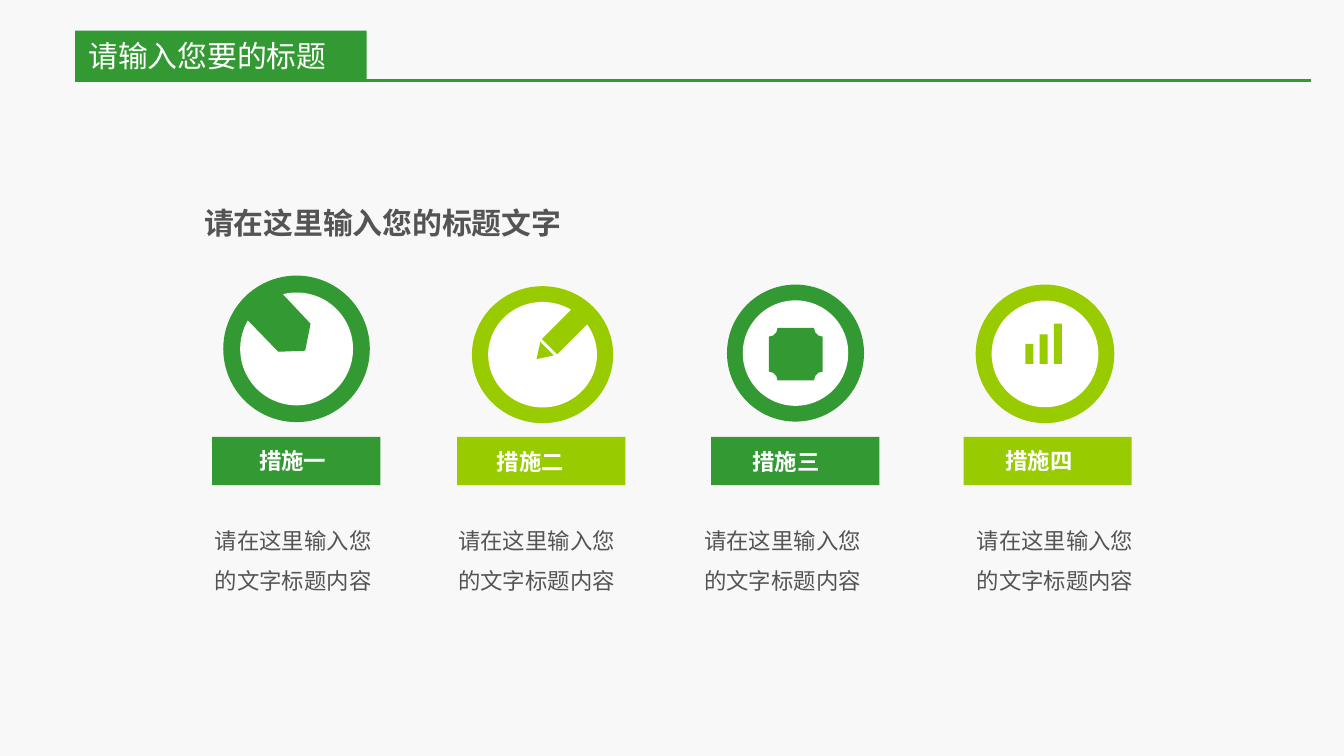
from pptx import Presentation
from pptx.dml.color import RGBColor
from pptx.enum.shapes import MSO_CONNECTOR as Link, MSO_SHAPE as Form
from pptx.enum.text import MSO_ANCHOR as Anchor, PP_ALIGN as Align
from pptx.oxml.ns import qn
from pptx.util import Cm, Pt

GREEN = RGBColor(0x33, 0x99, 0x33)
LIME = RGBColor(0x99, 0xCC, 0x00)
WHITE = RGBColor(0xFF, 0xFF, 0xFF)
PALE = RGBColor(0xF8, 0xF8, 0xF8)
GRAY = RGBColor(0x54, 0x54, 0x54)
FONT = "Noto Sans CJK SC"

TITLE = "请输入您要的标题"
HEAD = "请在这里输入您的标题文字"
BODY = ["请在这里输入您", "的文字标题内容"]

# label, colour, ring box, tag left, label left and top, body left and width
STEPS = [
    ("措施一", GREEN, (4.22, 5.21, 2.77, 2.77), 4.01, (4.65, 8.08), (3.81, 4.5)),
    ("措施二", LIME, (8.92, 5.41, 2.67, 2.59), 8.64, (9.14, 8.1), (8.41, 3.51)),
    ("措施三", GREEN, (13.74, 5.38, 2.59, 2.59), 13.44, (13.97, 8.1), (13.06, 4.27)),
    ("措施四", LIME, (18.44, 5.38, 2.62, 2.62), 18.21, (18.75, 8.08), (18.21, 3.51)),
]
HOLE = 0.77
ARROW = [(5.23, 5.44), (5.87, 6.12), (5.77, 6.63), (5.26, 6.65),
         (4.65, 6.02), (4.89, 5.75)]
BARS = [0.38, 0.56, 0.76]
ICONS = [
    [],
    [(Form.RECTANGLE, (10.26, 6.05, 0.84, 0.41), 135),
     (Form.ISOSCELES_TRIANGLE, (10.06, 6.55, 0.36, 0.28), 225)],
    [(Form.PLAQUE, (14.53, 6.2, 1.02, 0.99), 0)],
    [(Form.RECTANGLE, (19.38 + 0.27 * i, 6.88 - tall, 0.15, tall), 0)
     for i, tall in enumerate(BARS)],
]


def paint(shape, color):
    shape.shadow.inherit = False
    shape.fill.solid()
    shape.fill.fore_color.rgb = color
    shape.line.fill.background()
    return shape


def draw(shapes, form, box, color, turn=0):
    shape = paint(shapes.add_shape(form, *map(Cm, box)), color)
    shape.rotation = turn
    return shape


def write(shape, lines, size, color, bold=False, space=1.5, wrap=True):
    frame = shape.text_frame
    frame.word_wrap = wrap
    frame.text = "\n".join(lines)
    for par in frame.paragraphs:
        par.alignment = Align.LEFT
        par.line_spacing = space
        for run in par.runs:
            font = run.font
            font.name, font.size, font.bold = FONT, Pt(size), bold
            font.color.rgb = color
            east = run._r.get_or_add_rPr().makeelement(qn("a:ea"), {"typeface": FONT})
            run._r.rPr.find(qn("a:latin")).addnext(east)


def label(shapes, box, *args, **opts):
    write(shapes.add_textbox(*map(Cm, box)), *args, **opts)


deck = Presentation()
deck.slide_width, deck.slide_height = Cm(25.4), Cm(14.29)
slide = deck.slides.add_slide(deck.slide_layouts[6])
slide.background.fill.solid()
slide.background.fill.fore_color.rgb = PALE
top = slide.shapes

for (name, color, ring, tag, spot, (left, wide)), icon in zip(STEPS, ICONS):
    badge = top.add_group_shape().shapes
    draw(badge, Form.OVAL, ring, color)
    x, y, w, h = ring
    edge = (1 - HOLE) / 2
    draw(badge, Form.OVAL, (x + w * edge, y + h * edge, w * HOLE, h * HOLE), WHITE)
    for form, box, turn in icon:
        draw(badge, form, box, color, turn)
    if not icon:
        pen = badge.build_freeform(*map(Cm, ARROW[0]))
        pen.add_line_segments([(Cm(a), Cm(b)) for a, b in ARROW[1:]])
        paint(pen.convert_to_shape(), color)

    plate = top.add_group_shape().shapes
    draw(plate, Form.RECTANGLE, (tag, 8.26, 3.18, 0.91), color)
    label(plate, (*spot, 2.44, 1.02), [name], 12, WHITE, bold=True)
    label(top, (left, 9.58, wide, 1.8), BODY, 12, GRAY)

label(top, (3.61, 3.4, 7.34, 1.27), [HEAD], 16, GRAY, bold=True, wrap=False)
banner = draw(top, Form.RECTANGLE, (1.42, 0.58, 5.51, 0.94), GREEN)
write(banner, [TITLE], 16, WHITE, space=1.0)
banner.text_frame.vertical_anchor = Anchor.MIDDLE

rule = top.add_connector(Link.STRAIGHT, Cm(24.77), Cm(1.52), Cm(1.42), Cm(1.52))
rule.line.color.rgb = GREEN
rule.line.width = Pt(1.5)
props = rule._element.spPr
props.append(props.makeelement(qn("a:effectLst"), {}))

deck.save("out.pptx")
